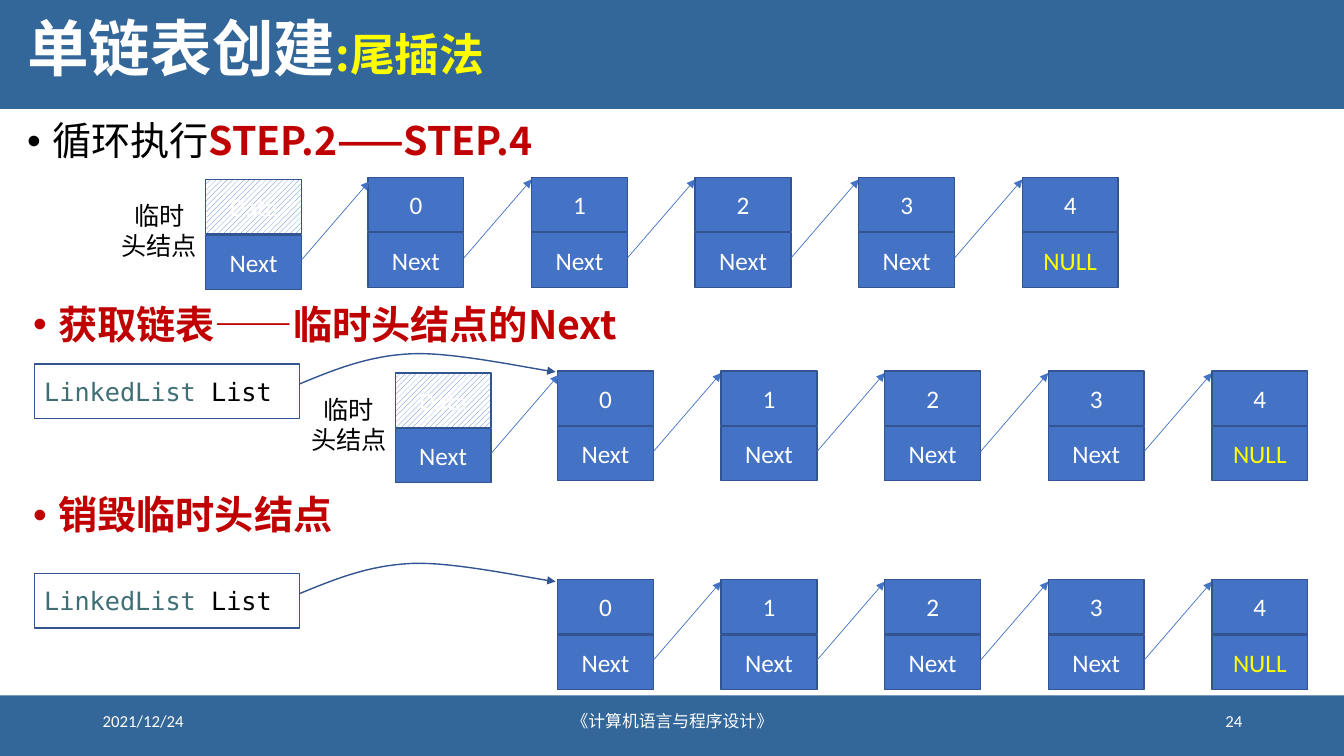
from pptx import Presentation
from pptx.dml.color import RGBColor
from pptx.enum.dml import MSO_PATTERN
from pptx.enum.shapes import MSO_CONNECTOR, MSO_SHAPE
from pptx.enum.text import MSO_ANCHOR, MSO_AUTO_SIZE, PP_ALIGN
from pptx.oxml.ns import qn
from pptx.util import Inches, Pt
from lxml.etree import SubElement

BAND = RGBColor(0x33, 0x66, 0x99)
NODE = RGBColor(0x44, 0x72, 0xC4)
EDGE = RGBColor(0x32, 0x54, 0x91)
TEAL = RGBColor(0x3F, 0x6E, 0x74)
RED = RGBColor(0xC0, 0x00, 0x00)
YELLOW = RGBColor(0xFF, 0xFF, 0x00)
WHITE = RGBColor(0xFF, 0xFF, 0xFF)
BLACK = RGBColor(0x00, 0x00, 0x00)

LATIN = "Calibri"
CJK = "Noto Sans CJK SC"
MONO = "DejaVu Sans Mono"

VALUES = ["0", "1", "2", "3", "4"]
CELL_W, CELL_H, CELL_STEP = 0.95, 0.54, 0.55
NODE_STEP = 6.49 / (len(VALUES) - 1)


def add_span(para, text, size, font, color, bold=False):
    span = para.add_run()
    span.text = text
    span.font.size = Pt(size)
    span.font.name = font
    span.font.bold = bold
    span.font.color.rgb = color
    SubElement(span.font._element, qn("a:ea")).set("typeface", font)


def add_box(page, left, top, width, height, anchor=MSO_ANCHOR.TOP, wrap=True):
    box = page.shapes.add_textbox(Inches(left), Inches(top), Inches(width), Inches(height))
    box.text_frame.word_wrap = wrap
    box.text_frame.vertical_anchor = anchor
    return box.text_frame


def add_rect(shapes, left, top, width, height, fill=None, edge=None):
    rect = shapes.add_shape(MSO_SHAPE.RECTANGLE, Inches(left), Inches(top),
                            Inches(width), Inches(height))
    rect.shadow.inherit = False
    if fill is None:
        rect.fill.background()
    else:
        rect.fill.solid()
        rect.fill.fore_color.rgb = fill
    if edge is None:
        rect.line.fill.background()
    else:
        rect.line.color.rgb = edge
        rect.line.width = Pt(1)
    rect.text_frame.vertical_anchor = MSO_ANCHOR.MIDDLE
    return rect


def add_arrowhead(line):
    SubElement(line._get_or_add_ln(), qn("a:tailEnd")).set("type", "triangle")


def add_bands(page):
    add_rect(page.shapes, 0, 0, 13.33, 1.08, BAND)
    add_rect(page.shapes, 0, 6.9, 13.33, 0.6, BAND)


def add_title(page, left, top, width, height):
    title = page.shapes.title
    page.shapes._spTree.append(title._element)  # in front of the bands
    title.left, title.top = Inches(left), Inches(top)
    title.width, title.height = Inches(width), Inches(height)
    frame = title.text_frame
    frame.auto_size = MSO_AUTO_SIZE.NONE
    frame.vertical_anchor = MSO_ANCHOR.MIDDLE
    para = frame.paragraphs[0]
    para.alignment = PP_ALIGN.LEFT
    para.line_spacing = 0.9
    add_span(para, "单链表创建", 44, CJK, WHITE, True)
    add_span(para, ":尾插法", 32, CJK, YELLOW, True)


def add_footer(page, top):
    for left, width, text, align in (
        (0.92, 3, "2021/12/24", PP_ALIGN.LEFT),
        (4.42, 4.5, "《计算机语言与程序设计》", PP_ALIGN.CENTER),
        (9.42, 3, "24", PP_ALIGN.RIGHT),
    ):
        para = add_box(page, left, top, width, 0.4, MSO_ANCHOR.MIDDLE).paragraphs[0]
        para.alignment = align
        add_span(para, text, 12, LATIN, WHITE)


def add_bullet(page, left, top, *spans):
    para = add_box(page, left, top, 12.87, 0.6).paragraphs[0]
    para.line_spacing = 0.9
    props = para._p.get_or_add_pPr()
    props.set("marL", str(Inches(0.25)))
    props.set("indent", str(Inches(-0.25)))
    SubElement(props, qn("a:buFont")).set("typeface", "Arial")
    SubElement(props, qn("a:buChar")).set("char", "•")
    for text, color, bold in spans:
        add_span(para, text, 28, CJK, color, bold)


def add_node(page, left, top, data, link, hatched=False):
    group = page.shapes.add_group_shape()
    for row, text in enumerate((data, link)):
        cell = add_rect(group.shapes, left, top + row * CELL_STEP, CELL_W, CELL_H, NODE, EDGE)
        if hatched and row == 0:
            cell.fill.patterned()
            cell.fill.pattern = MSO_PATTERN.WIDE_UPWARD_DIAGONAL
            cell.fill.fore_color.rgb = NODE
            cell.fill.back_color.rgb = WHITE
        para = cell.text_frame.paragraphs[0]
        para.alignment = PP_ALIGN.CENTER
        add_span(para, text, 18, LATIN, YELLOW if text == "NULL" else WHITE)


def add_next_arrow(page, left, top):
    """Arrow from the node at left, top to the node after it."""
    arrow = page.shapes.add_connector(
        MSO_CONNECTOR.STRAIGHT, Inches(left + CELL_W), Inches(top + 0.8),
        Inches(left + NODE_STEP), Inches(top + 0.02))
    arrow.line.color.rgb = NODE
    arrow.line.width = Pt(0.5)
    add_arrowhead(arrow.line)
    SubElement(arrow._element.spPr, qn("a:effectLst"))


def add_chain(page, left, top):
    for index, value in enumerate(VALUES):
        node_left = left + index * NODE_STEP
        last = index == len(VALUES) - 1
        add_node(page, node_left, top, value, "NULL" if last else "Next")
        if not last:
            add_next_arrow(page, node_left, top)


def add_head(page, left, top):
    add_node(page, left, top, "Data", "Next", hatched=True)
    add_next_arrow(page, left, top)
    frame = add_box(page, left - 0.94, top + 0.16, 0.96, 0.71, wrap=False)
    for para, text in ((frame.paragraphs[0], "临时"), (frame.add_paragraph(), "头结点")):
        para.alignment = PP_ALIGN.CENTER
        add_span(para, text, 18, CJK, BLACK)


def curve_points(start, bend_a, bend_b, end, steps=16):
    """Points in EMU along a cubic curve given in inches."""
    for step in range(1, steps + 1):
        t = step / steps
        weights = ((1 - t) ** 3, 3 * t * (1 - t) ** 2, 3 * t * t * (1 - t), t ** 3)
        yield tuple(Inches(sum(w * p[axis] for w, p in zip(weights, (start, bend_a, bend_b, end))))
                    for axis in (0, 1))


def add_list_variable(page, left, top):
    box = add_rect(page.shapes, left, top, 2.63, CELL_H, edge=EDGE)
    para = box.text_frame.paragraphs[0]
    para.alignment = PP_ALIGN.LEFT
    add_span(para, "LinkedList ", 18, MONO, TEAL)
    add_span(para, "List", 18, MONO, BLACK)

    # Curved pointer to the first node
    x, y = left + 2.63, top + 0.2
    crest = (x + 1.11, y - 0.3)
    rise = curve_points((x, y), (x + 0.34, y - 0.14), (x + 0.68, y - 0.28), crest)
    fall = curve_points(crest, (x + 1.53, y - 0.32), (x + 2.3, y - 0.15), (x + 2.54, y - 0.12))
    builder = page.shapes.build_freeform(Inches(x), Inches(y))
    builder.add_line_segments([*rise, *fall], close=False)
    pointer = builder.convert_to_shape()
    pointer.shadow.inherit = False
    pointer.fill.background()
    pointer.line.color.rgb = EDGE
    pointer.line.width = Pt(1)
    add_arrowhead(pointer.line)


def main():
    deck = Presentation()
    deck.slide_width, deck.slide_height = Inches(13.33), Inches(7.5)
    page = deck.slides.add_slide(deck.slide_layouts[5])
    add_bands(page)
    add_title(page, 0.17, 0, 12.87, 1.03)
    add_footer(page, 6.95)

    # Repeat the steps
    add_bullet(page, 0.17, 1.16, ("循环执行", BLACK, False), ("STEP.2——STEP.4", RED, True))
    add_chain(page, 3.65, 1.76)
    add_head(page, 2.04, 1.78)

    # Take the list from the temporary head
    add_bullet(page, 0.23, 2.98, ("获取链表——临时头结点的Next", RED, True))
    add_chain(page, 5.53, 3.68)
    add_head(page, 3.92, 3.7)
    add_list_variable(page, 0.34, 3.61)

    # Destroy the temporary head
    add_bullet(page, 0.23, 4.87, ("销毁临时头结点", RED, True))
    add_chain(page, 5.53, 5.75)
    add_list_variable(page, 0.34, 5.69)

    deck.save("out.pptx")


if __name__ == "__main__":
    main()
